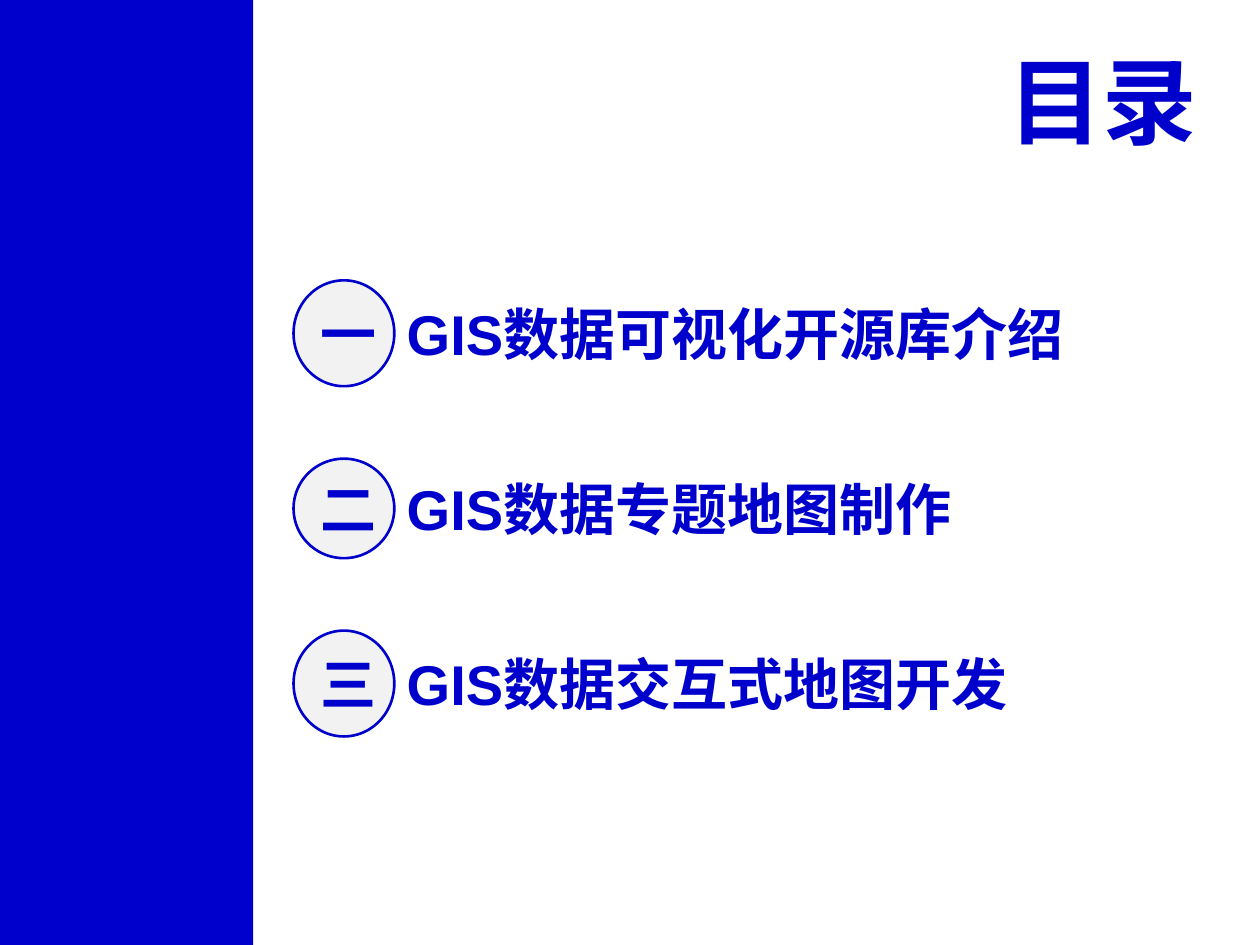
from dataclasses import dataclass

from lxml.etree import SubElement
from pptx import Presentation
from pptx.dml.color import RGBColor
from pptx.enum.shapes import MSO_SHAPE
from pptx.enum.text import MSO_ANCHOR, PP_ALIGN
from pptx.oxml.ns import qn
from pptx.util import Inches, Pt


@dataclass(frozen=True)
class Theme:
    """Colours, fonts and type sizes of the contents slide."""
    accent: RGBColor = RGBColor(0x00, 0x00, 0xCC)
    badge: RGBColor = RGBColor(0xF2, 0xF2, 0xF2)
    latin: str = "Arial"
    chinese: str = "Noto Sans CJK SC"
    title_size: int = 54
    entry_size: int = 32
    outline: float = 1.5


class ContentsSlide:
    """Draws contents elements on a grid of 100 columns by 75 rows."""

    def __init__(self, deck, theme):
        """Add a title-only slide and measure its grid."""
        self.theme = theme
        self.slide = deck.slides.add_slide(deck.slide_layouts[5])
        self.column = deck.slide_width / 100
        self.row = deck.slide_height / 75

    def place(self, left, top, width, height):
        """Turn grid units into slide lengths."""
        return (round(left * self.column), round(top * self.row),
                round(width * self.column), round(height * self.row))

    def set_line(self, frame, words, size, align, font, anchor=MSO_ANCHOR.MIDDLE, wrap=True):
        """Set one bold accent line in a text frame."""
        frame.text = words
        frame.word_wrap = wrap
        frame.vertical_anchor = anchor
        line = frame.paragraphs[0]
        line.alignment = align
        line.font.size = Pt(size)
        line.font.bold = True
        line.font.color.rgb = self.theme.accent
        line.font.name = font
        defaults = line._p.pPr.find(qn("a:defRPr"))
        SubElement(defaults, qn("a:ea")).set("typeface", self.theme.chinese)

    def shape(self, shapes, preset, box, fill, outlined=False):
        """Add a flat preset shape with an optional accent outline."""
        figure = shapes.add_shape(preset, *self.place(*box))
        figure.shadow.inherit = False
        figure.fill.solid()
        figure.fill.fore_color.rgb = fill
        if outlined:
            figure.line.color.rgb = self.theme.accent
            figure.line.width = Pt(self.theme.outline)
        else:
            figure.line.fill.background()
        return figure

    def sidebar(self, width):
        """Fill the left edge from top to bottom."""
        self.shape(self.slide.shapes, MSO_SHAPE.RECTANGLE, (0, 0, width, 75), self.theme.accent)

    def title(self, words, box):
        """Place the title in the top right corner."""
        heading = self.slide.shapes.title
        heading.left, heading.top, heading.width, heading.height = self.place(*box)
        self.set_line(heading.text_frame, words, self.theme.title_size, PP_ALIGN.RIGHT,
                      self.theme.latin, MSO_ANCHOR.TOP, wrap=False)

    def entry(self, middle, numeral, topic, badge_height, topic_width):
        """Group a numbered badge with its topic."""
        members = self.slide.shapes.add_group_shape().shapes
        badge = self.shape(members, MSO_SHAPE.OVAL,
                           (23.3, middle - badge_height / 2, 8, badge_height),
                           self.theme.badge, outlined=True)
        self.set_line(badge.text_frame, numeral, self.theme.entry_size, PP_ALIGN.CENTER,
                      self.theme.chinese)
        label = members.add_textbox(*self.place(31.3, middle - 3.2, topic_width, 6.4))
        self.set_line(label.text_frame, topic, self.theme.entry_size, PP_ALIGN.LEFT,
                      self.theme.latin)


def main():
    """Build the contents slide and save it."""
    deck = Presentation()
    deck.slide_width, deck.slide_height = Inches(10), Inches(7.5)
    contents = ContentsSlide(deck, Theme())
    contents.sidebar(20.1)
    contents.title("目录", (78.4, 2.9, 17.6, 10.1))
    entries = [
        ("一", "GIS数据可视化开源库介绍", 8.4, 64.7),
        ("二", "GIS数据专题地图制作", 7.9, 62),
        ("三", "GIS数据交互式地图开发", 8.4, 67.6),
    ]
    for index, entry in enumerate(entries):
        contents.entry(26.45 + 13.9 * index, *entry)
    deck.save("out.pptx")


if __name__ == "__main__":
    main()
